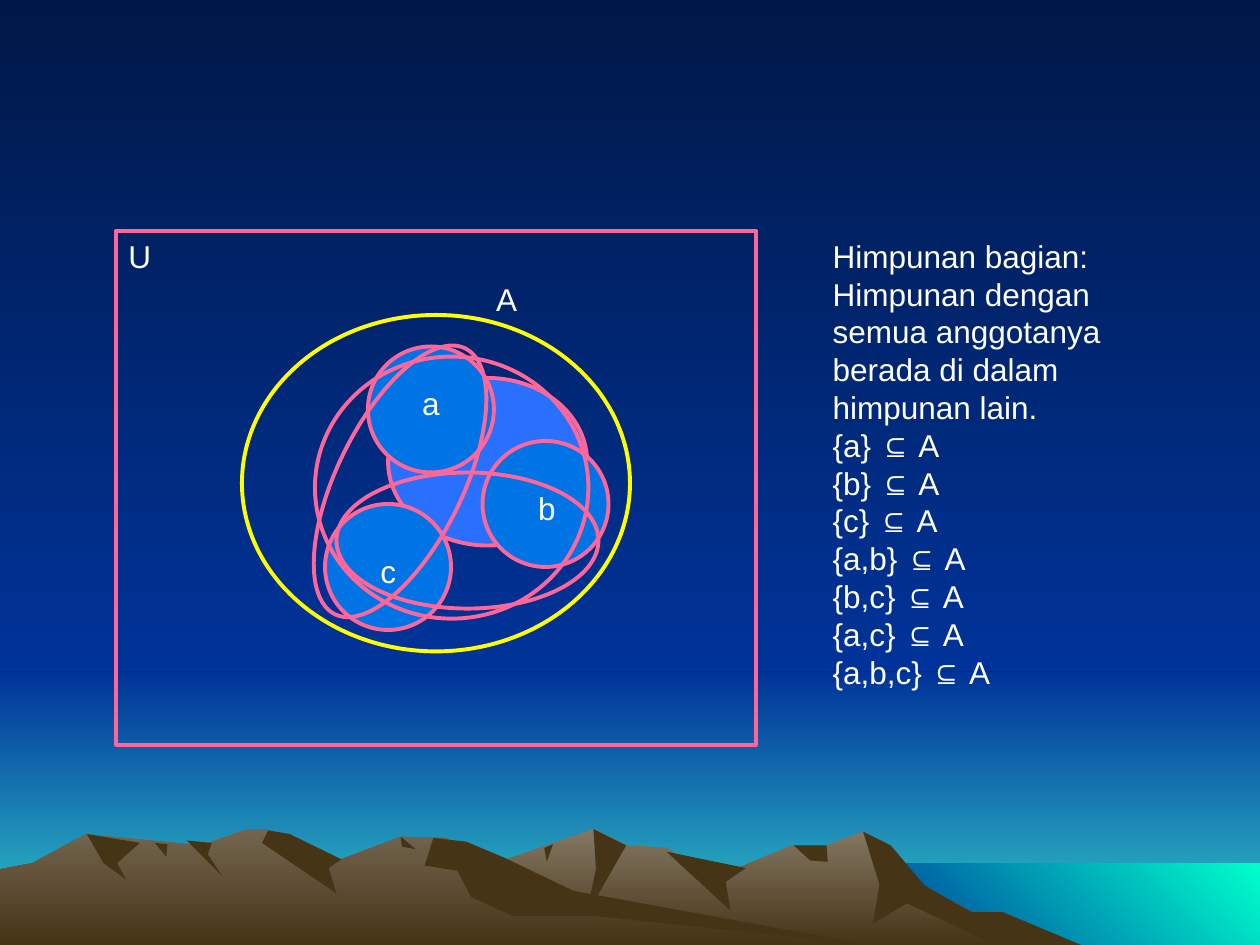
from pptx import Presentation
from pptx.dml.color import RGBColor
from pptx.enum.shapes import MSO_SHAPE
from pptx.enum.text import MSO_AUTO_SIZE, PP_ALIGN
from pptx.util import Inches, Pt

PINK, YELLOW, WHITE = "FF6699", "FFFF00", "FFFFFF"
NIGHT, BLUE, BROWN = "001847", "003399", "463416"
DOWN, UP_RIGHT = 270, 45


def paint(fill, *colors, angle=DOWN):
    """One colour gives a solid fill, two a gradient, none no fill."""
    if len(colors) == 2:
        fill.gradient()
        fill.gradient_angle = angle
        for stop, color in zip(fill.gradient_stops, colors):
            stop.color.rgb = RGBColor.from_string(color)
    elif colors:
        fill.solid()
        fill.fore_color.rgb = RGBColor.from_string(colors[0])
    else:
        fill.background()


def add_text(left, top, width, height, lines, alignment):
    text_box = slide.shapes.add_textbox(
        Inches(left), Inches(top), Inches(width), Inches(height))
    text_frame = text_box.text_frame
    text_frame.word_wrap = False
    text_frame.auto_size = MSO_AUTO_SIZE.SHAPE_TO_FIT_TEXT
    for index, line in enumerate(lines):
        paragraph = text_frame.add_paragraph() if index else text_frame.paragraphs[0]
        paragraph.alignment = alignment
        run = paragraph.add_run()
        run.text = line
        run.font.name = "Arial"
        run.font.size = Pt(18)
        run.font.color.rgb = RGBColor.from_string(WHITE)


presentation = Presentation()
presentation.slide_width = Inches(10)
presentation.slide_height = Inches(7.5)
slide = presentation.slides.add_slide(presentation.slide_layouts[6])
paint(slide.background.fill, NIGHT, BLUE)

# Horizon, sky and water, each reaching the right edge
for left, top, bottom, colors, angle in [
    (0, 5.33, 7.5, (BLUE, "33CCCC"), DOWN),
    (0, 0, 5.33, (NIGHT, BLUE), DOWN),
    (6.83, 6.85, 7.5, (BLUE, "00FFCC"), UP_RIGHT),
]:
    band = slide.shapes.add_shape(
        MSO_SHAPE.RECTANGLE, Inches(left), Inches(top),
        Inches(10 - left), Inches(bottom - top))
    band.shadow.inherit = False
    band.line.fill.background()
    paint(band.fill, *colors, angle=angle)

# Mountain ranges and their shaded faces, in hundredths of an inch
mountains = [
    (("847864", BROWN), [
        (820, 750), (723, 698), (702, 671), (685, 660), (656, 671), (629, 671),
        (566, 697), (529, 673), (497, 671), (471, 658), (394, 685), (258, 750)]),
    ((BROWN,), [
        (685, 660), (698, 702), (693, 733), (720, 717), (790, 750), (858, 750),
        (796, 724), (771, 724), (734, 703), (707, 671)]),
    ((BROWN,), [(471, 658), (473, 690), (465, 727), (497, 671)]),
    ((BROWN,), [(529, 676), (580, 723), (576, 700), (592, 689)]),
    ((BROWN,), [(630, 671), (643, 683), (657, 684), (656, 671)]),
    ((BROWN,), [(432, 673), (434, 684), (439, 670)]),
    (("73654F", BROWN), [
        (690, 750), (432, 712), (354, 665), (318, 664), (271, 682), (236, 681),
        (212, 658), (196, 658), (160, 671), (68, 662), (26, 685), (0, 690),
        (0, 750)]),
    ((BROWN,), [
        (213, 659), (208, 669), (267, 709), (261, 689), (271, 682), (230, 662)]),
    ((BROWN,), [
        (344, 665), (337, 687), (363, 691), (374, 712), (407, 727), (472, 727),
        (690, 750), (455, 707), (401, 681), (370, 668)]),
    ((BROWN,), [(318, 664), (319, 672), (330, 674)]),
    ((BROWN,), [(148, 667), (176, 695), (165, 678), (168, 669)]),
    ((BROWN,), [(123, 669), (132, 680), (133, 670)]),
    ((BROWN,), [(69, 662), (82, 685), (100, 698), (93, 685), (111, 669)]),
]
for colors, points in mountains:
    builder = slide.shapes.build_freeform(*points[0], scale=Inches(0.01))
    builder.add_line_segments(points[1:], close=True)
    face = builder.convert_to_shape()
    face.shadow.inherit = False
    face.line.fill.background()
    paint(face.fill, *colors)

# Venn diagram: elements b, c and a, set A, universe U and the subset loops
ELLIPSE, RECTANGLE = MSO_SHAPE.OVAL, MSO_SHAPE.RECTANGLE
elements = [(ELLIPSE, left, top, 1, 1, ("0073E5",), PINK, 0)
            for left, top in [(3.83, 3.5), (2.58, 4), (2.92, 2.75)]]
for kind, left, top, width, height, colors, outline, rotation in [
    (ELLIPSE, 3.08, 3, 1.58, 1.33, ("2970FF",), PINK, 0),
    *elements,
    (ELLIPSE, 1.92, 2.5, 3.08, 2.67, (), YELLOW, 0),
    (RECTANGLE, 0.92, 1.83, 5.08, 4.08, (), PINK, 0),
    (ELLIPSE, 2.5, 2.83, 2.17, 2.08, (), PINK, 0),
    (ELLIPSE, 2, 3.32, 2.35, 1, (), PINK, 296.1),
    (ELLIPSE, 2.67, 3.75, 2.08, 1.08, (), PINK, 0),
]:
    shape = slide.shapes.add_shape(
        kind, Inches(left), Inches(top), Inches(width), Inches(height))
    shape.shadow.inherit = False
    shape.rotation = rotation
    paint(shape.fill, *colors)
    paint(shape.line.fill, outline)
    shape.line.width = Pt(2.25)

# Diagram labels
for label, left, top, width in [
    ("U", 0.92, 1.83, 0.38),
    ("A", 3.84, 2.17, 0.36),
    ("a", 3.25, 3, 0.34),
    ("b", 4.17, 3.83, 0.34),
    ("c", 2.92, 4.33, 0.32),
]:
    add_text(left, top, width, 0.4, [label], PP_ALIGN.CENTER)

# Definition and list of subsets
definition = ["Himpunan bagian:", "Himpunan dengan", "semua anggotanya",
              "berada di dalam", "himpunan lain."]
subsets = ["a", "b", "c", "a,b", "b,c", "a,c", "a,b,c"]
add_text(6.51, 1.83, 2.39, 4,
         definition + [f"{{{subset}}} ⊆ A" for subset in subsets], PP_ALIGN.LEFT)

presentation.save("out.pptx")
